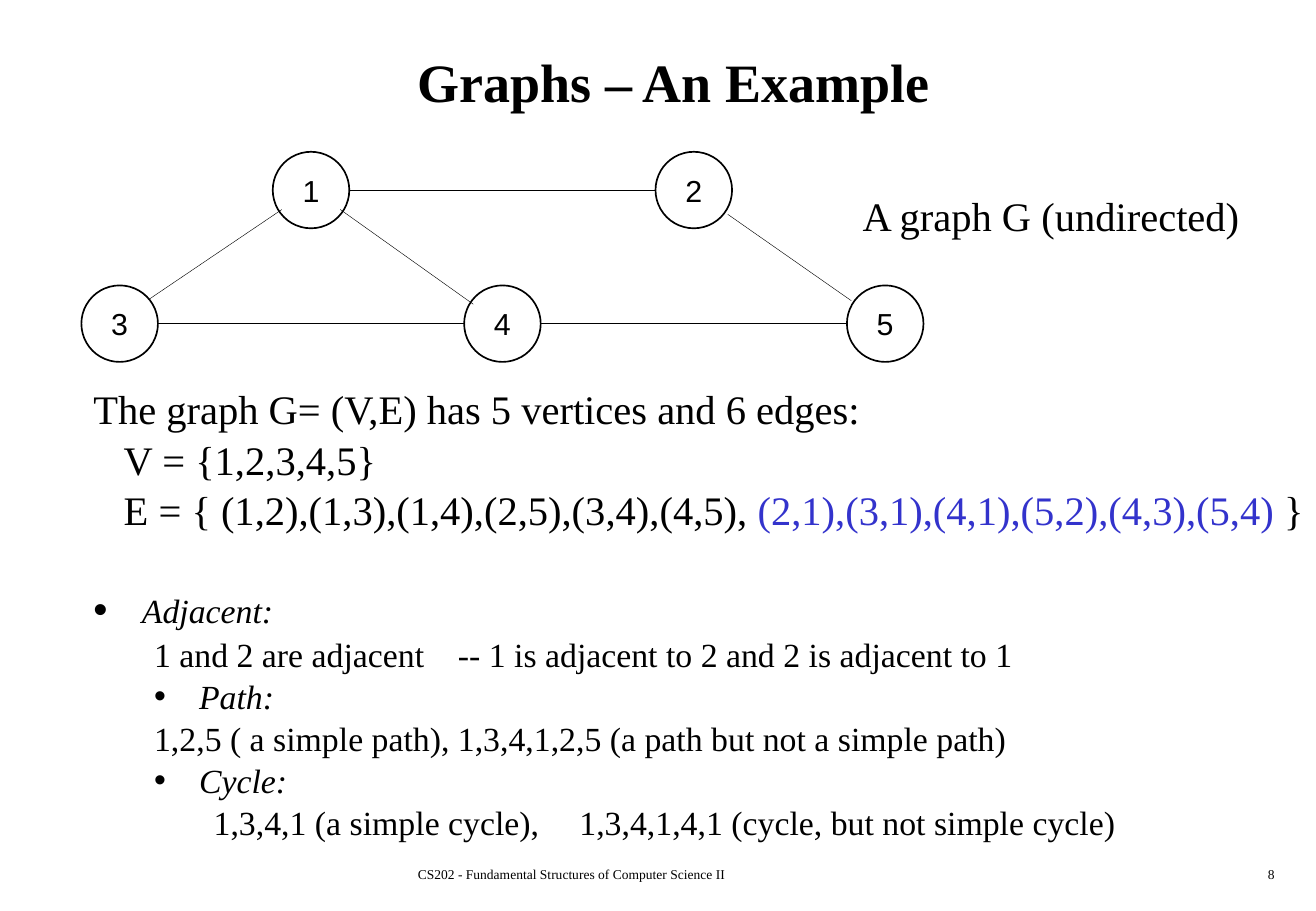
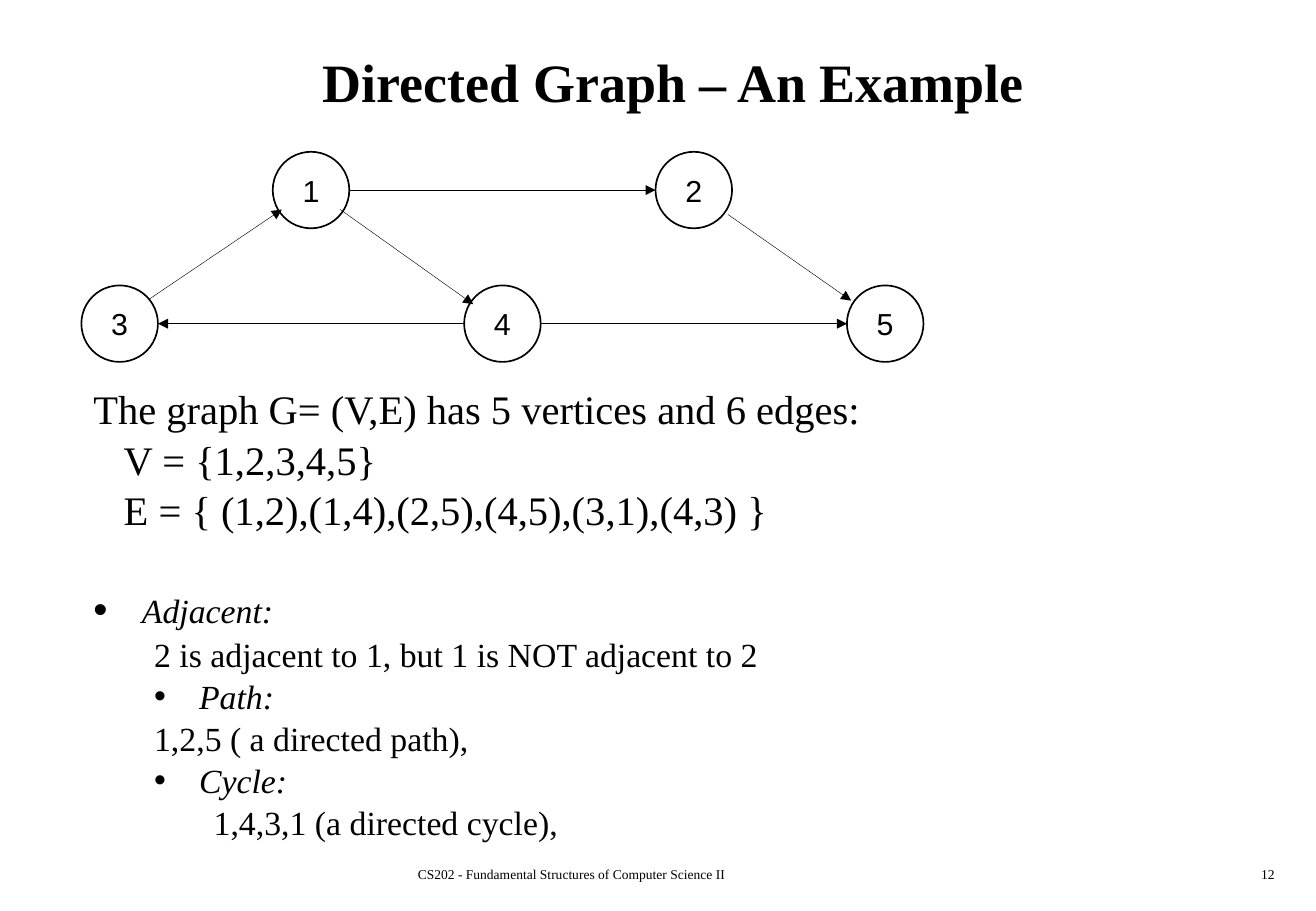
from lxml import etree
from pptx import Presentation
from pptx.dml.color import RGBColor
from pptx.enum.shapes import MSO_CONNECTOR, MSO_SHAPE
from pptx.enum.text import MSO_ANCHOR, PP_ALIGN
from pptx.oxml.ns import qn
from pptx.util import Inches, Pt

COLORS = {"text": "000000", "reverse_edge": "3333CC", "background": "FFFFFF"}
SERIF, SANS = "Times New Roman", "Arial"
FOOTER = "CS202 - Fundamental Structures of Computer Science II"

DIAMETER = 0.63
RADIUS = DIAMETER / 2
COLUMN_STEP = 6.3 / 4
ROW_TOPS = (1.25, 2.35)
# vertex: (column, row)
VERTICES = {"1": (1, 0), "4": (2, 1), "2": (3, 0), "5": (4, 1), "3": (0, 1)}
SIDE = (RADIUS, 0)
# source, target, then the distance of each line end from its vertex centre
EDGES = [
    ("1", "4", (0.24, 0.16), (0.24, 0.16)),
    ("1", "2", SIDE, SIDE),
    ("2", "5", (0.28, 0.2), (0.28, 0.19)),
    ("4", "3", SIDE, SIDE),
    ("4", "5", SIDE, SIDE),
    ("3", "1", (0.24, 0.2), (0.24, 0.16)),
]


def rgb(name):
    return RGBColor.from_string(COLORS[name])


def format_run(run, size, font=SERIF, color="text", bold=False, italic=False):
    run.font.size = Pt(size)
    run.font.name = font
    run.font.color.rgb = rgb(color)
    run.font.bold = bold
    run.font.italic = italic


def add_text_frame(slide, left, top, width, height):
    box = slide.shapes.add_textbox(Inches(left), Inches(top), Inches(width), Inches(height))
    frame = box.text_frame
    frame.word_wrap = True
    frame.margin_right = 0
    return frame


def add_line_of_text(slide, text, place, size, align=PP_ALIGN.LEFT, bold=False):
    frame = add_text_frame(slide, *place)
    frame.text = text
    paragraph = frame.paragraphs[0]
    paragraph.alignment = align
    format_run(paragraph.runs[0], size, bold=bold)
    return frame


def add_frame(slide, title, number):
    """Add the title, the footer and the slide number."""
    add_line_of_text(slide, FOOTER, (3.34, 7.08, 4.06, 0.25), 8)
    add_line_of_text(slide, str(number), (8.33, 7.08, 2.16, 0.25), 8, PP_ALIGN.RIGHT)
    frame = add_line_of_text(slide, title, (0.42, 0.17, 10.25, 1), 32, PP_ALIGN.CENTER, True)
    frame.margin_right = Inches(0.1)
    frame.vertical_anchor = MSO_ANCHOR.MIDDLE


def vertex_center(vertex):
    column, row = VERTICES[vertex]
    return 0.67 + column * COLUMN_STEP + RADIUS, ROW_TOPS[row] + RADIUS


def add_edge(group, source, target, trim_start, trim_end, directed):
    start, end = [], []
    for a, b, cut_a, cut_b in zip(vertex_center(source), vertex_center(target), trim_start, trim_end):
        sign = 1 if b > a else -1
        start.append(Inches(a + sign * cut_a))
        end.append(Inches(b - sign * cut_b))
    edge = group.shapes.add_connector(MSO_CONNECTOR.STRAIGHT, *start, *end)
    edge.line.color.rgb = rgb("text")
    edge.line.width = Pt(0.25)
    if directed:
        etree.SubElement(edge.line._get_or_add_ln(), qn("a:tailEnd"), type="triangle")
    etree.SubElement(edge._element.spPr, qn("a:effectLst"))


def add_vertex(group, label):
    x, y = vertex_center(label)
    circle = group.shapes.add_shape(
        MSO_SHAPE.OVAL, Inches(x - RADIUS), Inches(y - RADIUS), Inches(DIAMETER), Inches(DIAMETER))
    circle.shadow.inherit = False
    circle.fill.background()
    circle.line.color.rgb = rgb("text")
    circle.line.width = Pt(1)
    frame = circle.text_frame
    frame.text = label
    frame.word_wrap = False
    frame.vertical_anchor = MSO_ANCHOR.MIDDLE
    frame.paragraphs[0].alignment = PP_ALIGN.CENTER
    format_run(frame.paragraphs[0].runs[0], 18, SANS)


def add_graph(slide, directed):
    group = slide.shapes.add_group_shape()
    for edge in EDGES:
        add_edge(group, *edge, directed)
    for label in VERTICES:
        add_vertex(group, label)


def set_indent(paragraph, margin, first_line):
    properties = paragraph._p.get_or_add_pPr()
    properties.set("marL", str(Inches(margin)))
    properties.set("indent", str(Inches(first_line)))
    return properties


def add_paragraph(frame, text, size, indent=0, tab=None):
    """Fill the first paragraph or append one; tab is measured from the text edge."""
    paragraph = frame.paragraphs[0] if not frame.text else frame.add_paragraph()
    paragraph.text = text
    paragraph.line_spacing = 1.04
    format_run(paragraph.runs[0], size)
    properties = set_indent(paragraph, 0, indent)
    if tab:
        stops = etree.SubElement(properties, qn("a:tabLst"))
        etree.SubElement(stops, qn("a:tab"), pos=str(Inches(tab)), algn="l")
    return paragraph


def add_bullet(frame, text, margin, hanging, bullet_percent=100):
    paragraph = add_paragraph(frame, text, 20)
    paragraph.runs[0].font.italic = True
    properties = set_indent(paragraph, margin, -hanging)
    etree.SubElement(properties, qn("a:buSzPct"), val=str(bullet_percent * 1000))
    etree.SubElement(properties, qn("a:buFont"), typeface=SANS)
    etree.SubElement(properties, qn("a:buChar"), char="•")
    return paragraph


def add_description(slide, edges, adjacent, path, cycle, reverse_edges=None):
    frame = add_text_frame(slide, 0.67, 3.1, 10.16, 3.76)
    add_paragraph(frame, "The graph G= (V,E) has 5 vertices and 6 edges:", 24)
    add_paragraph(frame, "V = {1,2,3,4,5}", 24, 0.25)
    edge_set = add_paragraph(frame, "E = { " + edges, 24, 0.25)
    endings = [(" }", "text")]
    if reverse_edges:
        endings = [(", ", "text"), (reverse_edges, "reverse_edge")] + endings
    for text, color in endings:
        run = edge_set.add_run()
        run.text = text
        format_run(run, 24, color=color)

    heading = add_bullet(frame, "Adjacent:", 0.4, 0.4, 120)
    heading.space_before = Pt(32)
    heading.space_after = Pt(1)
    add_paragraph(frame, adjacent, 20, 0.5, 2.86)
    add_bullet(frame, "Path:", 0.87, 0.37)
    add_paragraph(frame, path, 20, 0.5, 3.28)
    add_bullet(frame, "Cycle:", 0.87, 0.37)
    add_paragraph(frame, cycle, 20, 0.99, 3.8)


def add_slide(presentation, title, number, directed):
    slide = presentation.slides.add_slide(presentation.slide_layouts[6])
    slide.background.fill.solid()
    slide.background.fill.fore_color.rgb = rgb("background")
    add_frame(slide, title, number)
    add_graph(slide, directed)
    return slide


def main():
    presentation = Presentation()
    presentation.slide_width = Inches(10.83)
    presentation.slide_height = Inches(7.5)

    slide = add_slide(presentation, "Graphs – An Example", 8, directed=False)
    add_line_of_text(slide, "A graph G (undirected)", (7, 1.52, 3.32, 0.5), 24)
    add_description(
        slide,
        edges="(1,2),(1,3),(1,4),(2,5),(3,4),(4,5)",
        reverse_edges="(2,1),(3,1),(4,1),(5,2),(4,3),(5,4)",
        adjacent="1 and 2 are adjacent\t-- 1 is adjacent to 2 and 2 is adjacent to 1",
        path="1,2,5 ( a simple path),\t1,3,4,1,2,5 (a path but not a simple path)",
        cycle="1,3,4,1 (a simple cycle),\t1,3,4,1,4,1 (cycle, but not simple cycle)",
    )

    slide = add_slide(presentation, "Directed Graph – An Example", 12, directed=True)
    add_description(
        slide,
        edges="(1,2),(1,4),(2,5),(4,5),(3,1),(4,3)",
        adjacent="2 is adjacent to 1, but 1 is NOT adjacent to 2",
        path="1,2,5 ( a directed path),",
        cycle="1,4,3,1 (a directed cycle),",
    )
    presentation.save("out.pptx")


if __name__ == "__main__":
    main()
